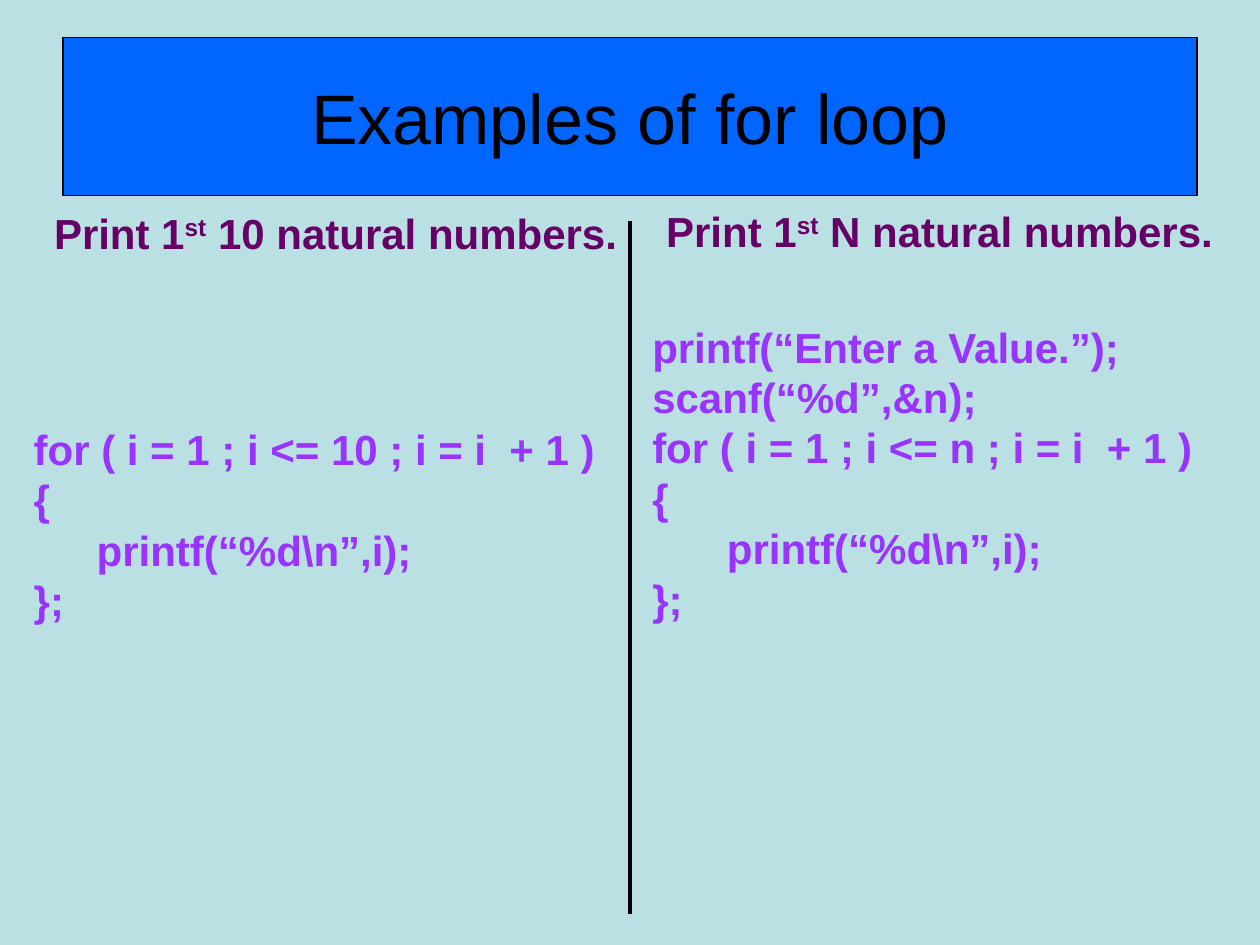
import pptx
import pptx.util
from pptx.dml.color import RGBColor
from pptx.enum.shapes import MSO_CONNECTOR, MSO_SHAPE
from pptx.enum.text import MSO_ANCHOR, MSO_AUTO_SIZE, PP_ALIGN
from pptx.oxml.ns import qn
from lxml import etree

Cm = pptx.util.Cm
Pt = pptx.util.Pt

BLACK = RGBColor(0x00, 0x00, 0x00)
BLUE = RGBColor(0x00, 0x66, 0xFF)
PALE = RGBColor(0xBB, 0xE0, 0xE3)
PLUM = RGBColor(0x66, 0x00, 0x66)
VIOLET = RGBColor(0x99, 0x33, 0xFF)


class Deck:
    face = "Arial"
    size = 24

    def __init__(self, slide):
        self.slide = slide
        fill = slide.background.fill
        fill.solid()
        fill.fore_color.rgb = PALE

    def style(self, para, color, size, bold):
        font = para.font
        font.name, font.size, font.bold = self.face, Pt(size), bold
        font.color.rgb = color

    def title(self, text, left, top, width, height):
        box = self.slide.shapes.add_shape(
            MSO_SHAPE.RECTANGLE, Cm(left), Cm(top), Cm(width), Cm(height))
        box.shadow.inherit = False
        box.fill.solid()
        box.fill.fore_color.rgb = BLUE
        box.line.color.rgb = BLACK
        box.line.width = Pt(0.75)
        frame = box.text_frame
        frame.vertical_anchor = MSO_ANCHOR.MIDDLE
        para = frame.paragraphs[0]
        para.text = text
        para.alignment = PP_ALIGN.CENTER
        self.style(para, BLACK, 40, False)

    def frame(self, left, top, width, height, wrap):
        box = self.slide.shapes.add_textbox(
            Cm(left), Cm(top), Cm(width), Cm(height))
        frame = box.text_frame
        frame.word_wrap = wrap
        frame.auto_size = MSO_AUTO_SIZE.SHAPE_TO_FIT_TEXT
        return frame

    def code(self, lines, left, top, width, height):
        frame = self.frame(left, top, width, height, True)
        frame.text = "\n".join(lines)
        for para in frame.paragraphs:
            self.style(para, VIOLET, self.size, True)

    def head(self, parts, left, top, width, height):
        """Add a heading whose second part is raised."""
        para = self.frame(left, top, width, height, False).paragraphs[0]
        self.style(para, PLUM, self.size, True)
        for i, part in enumerate(parts):
            run = para.add_run()
            run.text = part
            if i == 1:
                run._r.get_or_add_rPr().set("baseline", "30000")

    def rule(self, x, top, end):
        line = self.slide.shapes.add_connector(
            MSO_CONNECTOR.STRAIGHT, Cm(x), Cm(top), Cm(x), Cm(end))
        line.line.color.rgb = BLACK
        line.line.width = Pt(2.25)
        etree.SubElement(line._element.spPr, qn("a:effectLst"))


def main():
    show = pptx.Presentation()
    show.slide_width, show.slide_height = Cm(25.4), Cm(19.05)
    deck = Deck(show.slides.add_slide(show.slide_layouts[6]))

    deck.title("Examples of for loop", 1.27, 0.76, 22.86, 3.18)
    deck.code(["for ( i = 1 ; i <= 10 ; i = i  + 1 )",
               "{",
               "\tprintf(“%d\\n”,i);",
               "};"], 0.43, 8.41, 11.86, 4.37)
    deck.code(["printf(“Enter a Value.”);",
               "scanf(“%d”,&n);",
               "for ( i = 1 ; i <= n ; i = i  + 1 )",
               "{",
               "\t printf(“%d\\n”,i);",
               "};"], 12.9, 6.35, 11.86, 6.4)
    deck.rule(12.7, 4.45, 18.42)
    deck.head(["Print 1", "st", " 10 natural numbers."],
              0.84, 4.06, 11.91, 1.27)
    deck.head(["Print 1", "st", " N natural numbers."],
              13.18, 4.01, 11.58, 1.27)

    show.save("out.pptx")


if __name__ == "__main__":
    main()
